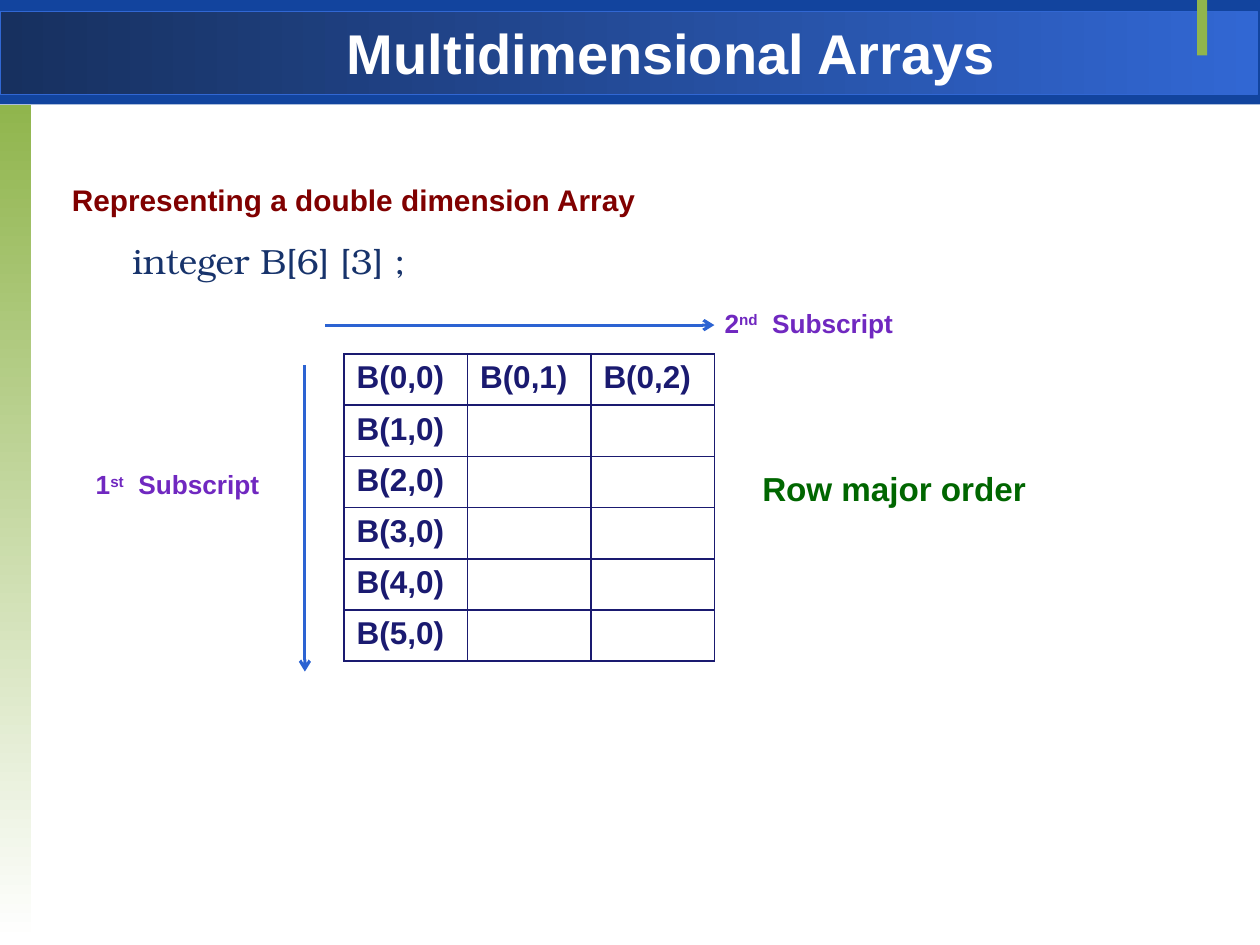
from dataclasses import dataclass
from typing import Optional

from lxml import etree
from pptx import Presentation
from pptx.dml.color import RGBColor
from pptx.enum.shapes import MSO_CONNECTOR, MSO_SHAPE
from pptx.enum.text import MSO_ANCHOR, PP_ALIGN
from pptx.oxml.ns import qn
from pptx.util import Inches, Pt

RECTANGLE = MSO_SHAPE.RECTANGLE
STRAIGHT = MSO_CONNECTOR.STRAIGHT
LEFT, CENTER = PP_ALIGN.LEFT, PP_ALIGN.CENTER
TOP, MIDDLE = MSO_ANCHOR.TOP, MSO_ANCHOR.MIDDLE
TITLE_ONLY = 5
ROWS, COLUMNS = 6, 3


@dataclass(frozen=True)
class Theme:
    """Fonts, colours and type sizes of the slide."""
    sans: str = "Arial"
    serif: str = "TeX Gyre Bonum"
    banner: str = "12449E"
    banner_dark: str = "17305F"
    banner_light: str = "3167D3"
    green: str = "90B54D"
    white: str = "FFFFFF"
    maroon: str = "800000"
    code: str = "17336B"
    grid: str = "1A1A70"
    order: str = "006600"
    arrow: str = "2C63D2"
    subscript: str = "7028C0"
    title_size: int = 32
    heading_size: int = 17
    code_size: int = 20
    cell_size: int = 18
    order_size: int = 19
    label_size: int = 15


THEME = Theme()


@dataclass(frozen=True)
class Box:
    """A rectangle in inches."""
    left: float
    top: float
    width: float
    height: float

    def lengths(self) -> tuple:
        """Return the four lengths."""
        return tuple(map(Inches, (self.left, self.top, self.width, self.height)))


@dataclass(frozen=True)
class Band:
    """A decorative rectangle with a plain or gradient fill."""
    box: Box
    colors: tuple
    angle: int = 0
    line: Optional[str] = None


@dataclass(frozen=True)
class Line:
    """One paragraph of text, with its look; runs alternate normal and raised."""
    runs: tuple
    size: int
    color: str
    font: str = THEME.sans
    bold: bool = True
    indent: float = 0


@dataclass(frozen=True)
class Note:
    """A text box."""
    box: Box
    lines: tuple


@dataclass(frozen=True)
class Arrow:
    """A straight arrow between two points."""
    start: tuple
    end: tuple


BANDS = (
    Band(Box(0, 0, 10, 0.83), (THEME.banner,)),
    Band(Box(0, 0.09, 9.98, 0.66), (THEME.banner_dark, THEME.banner_light), 0, THEME.banner_light),
    Band(Box(0, 0.83, 0.25, 6.64), (THEME.green, THEME.white), 270),
    Band(Box(9.5, 0, 0.08, 0.44), (THEME.green,)),
)
TITLE = Line(("Multidimensional Arrays",), THEME.title_size, THEME.white)
NOTES = (
    Note(Box(0.5, 1.42, 9.02, 0.92), (
        Line(("Representing a double dimension Array",), THEME.heading_size, THEME.maroon, indent=0.07),
        Line(("integer B[6] [3] ;",), THEME.code_size, THEME.code, THEME.serif, False, 0.55),
    )),
    Note(Box(6.05, 3.7, 2.2, 0.54), (Line(("Row major order",), THEME.order_size, THEME.order),)),
    Note(Box(5.75, 2.42, 1.58, 0.54),
         (Line(("2", "nd", "  Subscript"), THEME.label_size, THEME.subscript),)),
    Note(Box(0.76, 3.7, 1.58, 0.27),
         (Line(("1", "st", "  Subscript"), THEME.label_size, THEME.subscript),)),
)
ARROWS = (Arrow((2.42, 2.9), (2.42, 5.33)), Arrow((2.58, 2.58), (5.67, 2.58)))
GRID = Box(2.73, 2.81, 2.94, 2.44)


def rgb(color: str) -> RGBColor:
    """Turn a hex string into a colour."""
    return RGBColor.from_string(color)


def draw_band(slide, band: Band) -> None:
    """Draw a decorative rectangle."""
    shape = slide.shapes.add_shape(RECTANGLE, *band.box.lengths())
    shape.shadow.inherit = False
    if len(band.colors) == 1:
        shape.fill.solid()
        shape.fill.fore_color.rgb = rgb(band.colors[0])
    else:
        shape.fill.gradient()
        shape.fill.gradient_angle = band.angle
        for stop, color in zip(shape.fill.gradient_stops, band.colors):
            stop.color.rgb = rgb(color)
    if band.line:
        shape.line.color.rgb = rgb(band.line)
        shape.line.width = Pt(0.75)
    else:
        shape.line.fill.background()


def write_line(paragraph, line: Line, alignment=LEFT) -> None:
    """Write and format the runs of one paragraph."""
    paragraph.alignment = alignment
    for index, text in enumerate(line.runs):
        run = paragraph.add_run()
        run.text = text
        run.font.name, run.font.size, run.font.bold = line.font, Pt(line.size), line.bold
        run.font.color.rgb = rgb(line.color)
        if index % 2:
            run._r.get_or_add_rPr().set("baseline", "30000")


def set_frame(frame, anchor, top_margin: float = 0) -> None:
    """Set wrapping, anchor and margins of a text frame."""
    frame.word_wrap = True
    frame.vertical_anchor = anchor
    frame.margin_left = frame.margin_right = frame.margin_bottom = 0
    frame.margin_top = Inches(top_margin)


def draw_title(slide) -> None:
    """Place the title over the banner."""
    title = slide.shapes.title
    title.left, title.top, title.width, title.height = Box(1.58, 0.08, 7.5, 0.66).lengths()
    set_frame(title.text_frame, MIDDLE)
    write_line(title.text_frame.paragraphs[0], TITLE, CENTER)
    slide.shapes._spTree.append(title._element)


def draw_note(slide, note: Note) -> None:
    """Draw a text box."""
    frame = slide.shapes.add_textbox(*note.box.lengths()).text_frame
    set_frame(frame, TOP, 0.02)
    for index, line in enumerate(note.lines):
        paragraph = frame.add_paragraph() if index else frame.paragraphs[0]
        paragraph.space_after = Pt(12.9)
        paragraph._p.get_or_add_pPr().set("marL", str(Inches(line.indent)))
        write_line(paragraph, line)


def draw_arrow(slide, arrow: Arrow) -> None:
    """Draw an arrow with an open head at its end."""
    connector = slide.shapes.add_connector(STRAIGHT, *map(Inches, arrow.start + arrow.end))
    connector.line.color.rgb = rgb(THEME.arrow)
    connector.line.width = Pt(1.75)
    etree.SubElement(connector.line._get_or_add_ln(), qn("a:tailEnd"), type="arrow")
    etree.SubElement(connector._element.spPr, qn("a:effectLst"))


def format_cell(cell) -> None:
    """Give a cell thin borders and no fill."""
    properties = cell._tc.get_or_add_tcPr()
    for side in ("a:lnL", "a:lnR", "a:lnT", "a:lnB"):
        border = etree.SubElement(properties, qn(side), w=str(Pt(1)))
        fill = etree.SubElement(border, qn("a:solidFill"))
        etree.SubElement(fill, qn("a:srgbClr"), val=THEME.grid)
    cell.fill.background()


def draw_grid(slide) -> None:
    """Draw the array, naming the first row and the first column."""
    table = slide.shapes.add_table(ROWS, COLUMNS, *GRID.lengths()).table
    table.first_row = table.horz_banding = False
    for row in range(ROWS):
        for column in range(COLUMNS):
            cell = table.cell(row, column)
            format_cell(cell)
            if row == 0 or column == 0:
                label = Line((f"B({row},{column})",), THEME.cell_size, THEME.grid)
                write_line(cell.text_frame.paragraphs[0], label)


def main() -> None:
    """Build and save the slide."""
    presentation = Presentation()
    presentation.slide_width, presentation.slide_height = Inches(10), Inches(7.5)
    slide = presentation.slides.add_slide(presentation.slide_layouts[TITLE_ONLY])
    for band in BANDS:
        draw_band(slide, band)
    draw_title(slide)
    draw_grid(slide)
    for arrow in ARROWS:
        draw_arrow(slide, arrow)
    for note in NOTES:
        draw_note(slide, note)
    presentation.save("out.pptx")


if __name__ == "__main__":
    main()
